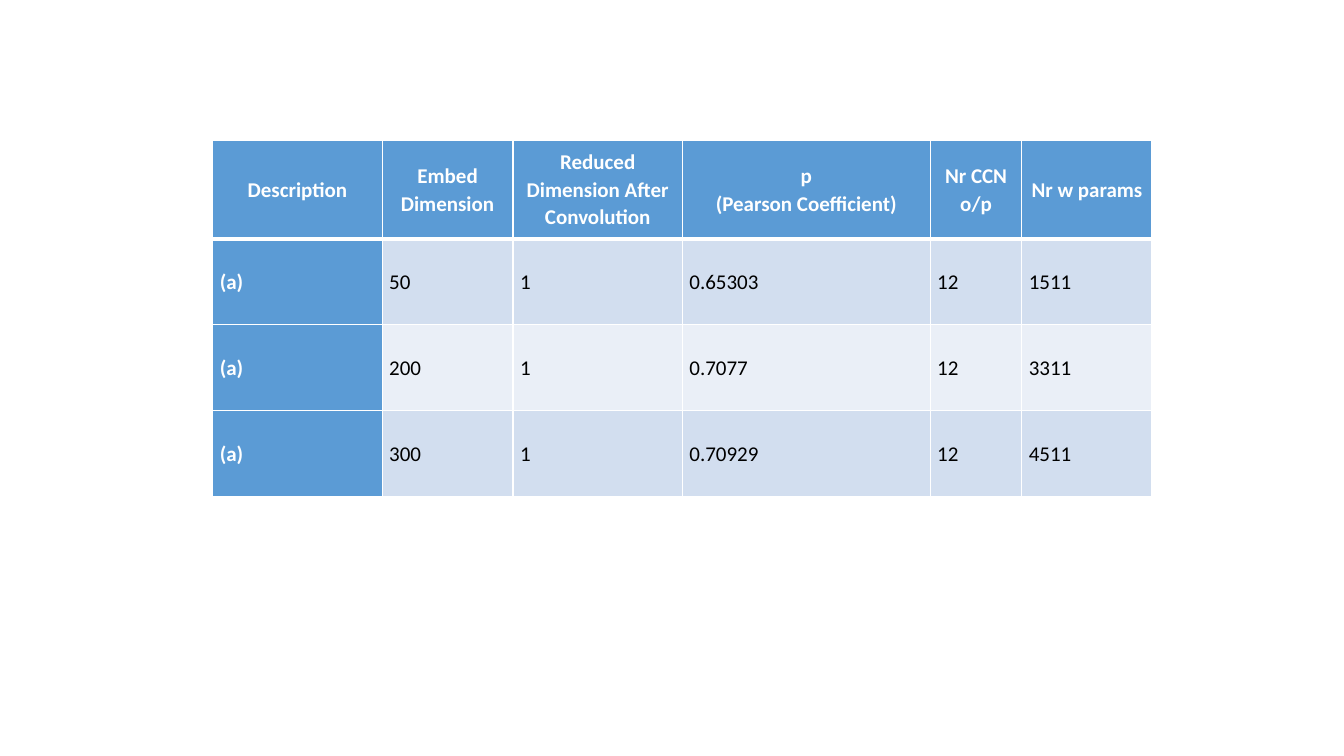
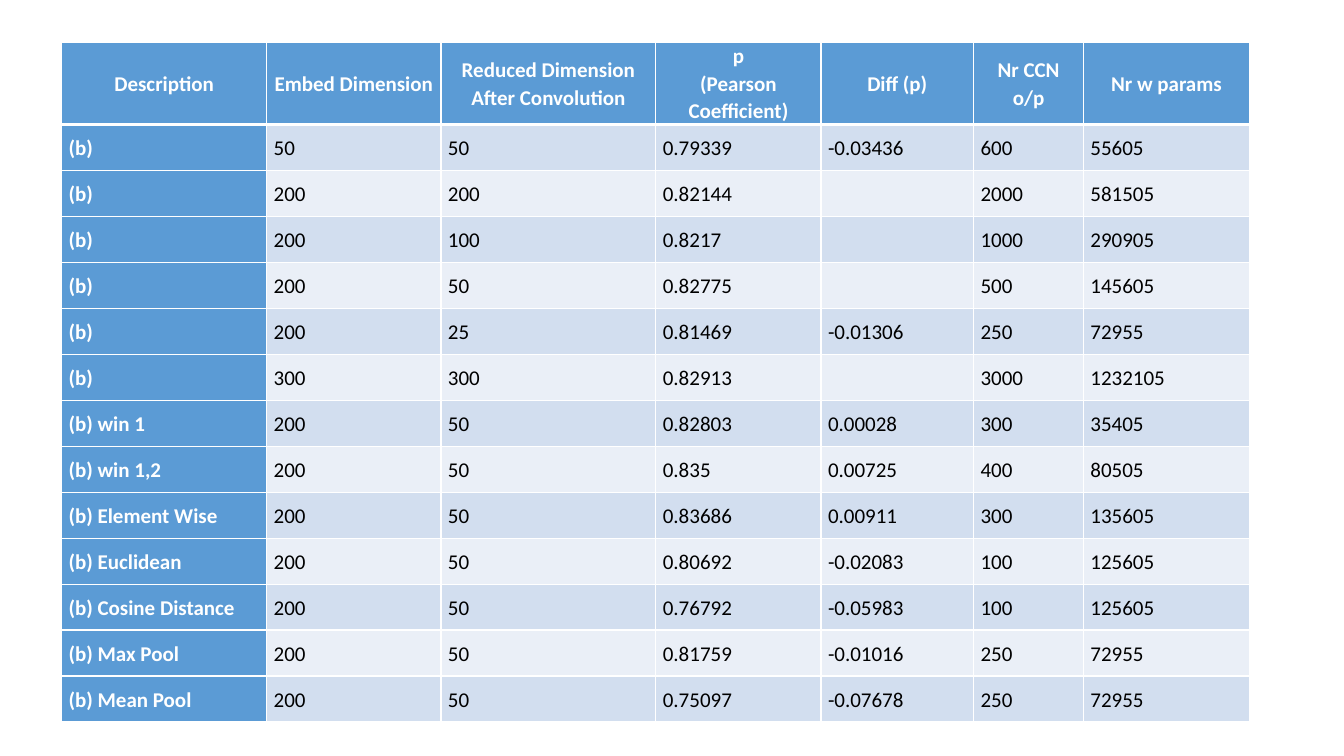
from lxml import etree
from pptx import Presentation
from pptx.dml.color import RGBColor
from pptx.enum import text
from pptx.oxml import ns
from pptx.util import Pt

BLUE, WHITE, BLACK = "5B9BD5", "FFFFFF", "000000"
BANDS = ("D2DEEF", "EAEFF7")
CELL_FORMAT = {
    "margin_left": Pt(5), "margin_right": Pt(5),
    "margin_top": Pt(0), "margin_bottom": Pt(0),
    "vertical_anchor": text.MSO_ANCHOR.MIDDLE,
}
FONT_FORMAT = {"name": "Calibri", "size": Pt(15)}
THIN, THICK = 1, 3

DESCRIPTION, EMBED = "Description", "Embed Dimension"
REDUCED = "Reduced Dimension After Convolution"
PEARSON = "p\n(Pearson Coefficient)"
OUTPUTS, PARAMS = "Nr CCN o/p", "Nr w params"

SINGLE_ROWS = [
    (DESCRIPTION, EMBED, REDUCED, PEARSON, OUTPUTS, PARAMS),
    ("(a)", "50", "1", "0.65303", "12", "1511"),
    ("(a)", "200", "1", "0.7077", "12", "3311"),
    ("(a)", "300", "1", "0.70929", "12", "4511"),
]
VARIANT_ROWS = [
    (DESCRIPTION, EMBED, REDUCED, PEARSON, "Diff (p)", OUTPUTS, PARAMS),
    ("(b)", "50", "50", "0.79339", "-0.03436", "600", "55605"),
    ("(b)", "200", "200", "0.82144", "", "2000", "581505"),
    ("(b)", "200", "100", "0.8217", "", "1000", "290905"),
    ("(b)", "200", "50", "0.82775", "", "500", "145605"),
    ("(b)", "200", "25", "0.81469", "-0.01306", "250", "72955"),
    ("(b)", "300", "300", "0.82913", "", "3000", "1232105"),
    ("(b) win 1", "200", "50", "0.82803", "0.00028", "300", "35405"),
    ("(b) win 1,2", "200", "50", "0.835", "0.00725", "400", "80505"),
    ("(b) Element Wise", "200", "50", "0.83686", "0.00911", "300", "135605"),
    ("(b) Euclidean", "200", "50", "0.80692", "-0.02083", "100", "125605"),
    ("(b) Cosine Distance", "200", "50", "0.76792", "-0.05983", "100", "125605"),
    ("(b) Max Pool", "200", "50", "0.81759", "-0.01016", "250", "72955"),
    ("(b) Mean Pool", "200", "50", "0.75097", "-0.07678", "250", "72955"),
]


def color(value):
    """Return the colour for a hex string."""
    return RGBColor.from_string(value)


def apply_format(target, values):
    """Set each attribute of the target from a dict."""
    for name, value in values.items():
        setattr(target, name, value)


def add_borders(cell, top, bottom):
    """Draw white borders around a cell."""
    properties = cell._tc.get_or_add_tcPr()
    widths = {"a:lnL": THIN, "a:lnR": THIN, "a:lnT": top, "a:lnB": bottom}
    for tag, width in widths.items():
        line = etree.SubElement(properties, ns.qn(tag), w=str(Pt(width)))
        fill = etree.SubElement(line, ns.qn("a:solidFill"))
        etree.SubElement(fill, ns.qn("a:srgbClr"), val=WHITE)


def fill_cell(cell, content, row, column):
    """Style and write one cell according to its place in the table."""
    is_heading = row == 0 or column == 0
    apply_format(cell, CELL_FORMAT)
    add_borders(cell, THICK if row == 1 else THIN, THICK if row == 0 else THIN)
    cell.fill.solid()
    cell.fill.fore_color.rgb = color(BLUE if is_heading else BANDS[(row - 1) % 2])
    if not content:
        return
    cell.text = content
    for para in cell.text_frame.paragraphs:
        para.line_spacing = 1.07
        para.alignment = text.PP_ALIGN.CENTER if row == 0 else text.PP_ALIGN.LEFT
        for span in para.runs:
            apply_format(span.font, FONT_FORMAT)
            span.font.bold = is_heading
            span.font.color.rgb = color(WHITE if is_heading else BLACK)


def add_result_page(deck, rows, origin, widths, header_height, row_height):
    """Add a page with one results table at the given origin."""
    page = deck.slides.add_slide(deck.slide_layouts[6])
    heights = [header_height] + [row_height] * (len(rows) - 1)
    box = [Pt(value) for value in (*origin, sum(widths), sum(heights))]
    table = page.shapes.add_table(len(rows), len(widths), *box).table
    table.first_col = True
    for column, width in zip(table.columns, widths):
        column.width = Pt(width)
    for row, height in zip(table.rows, heights):
        row.height = Pt(height)
    for i, contents in enumerate(rows):
        for j, content in enumerate(contents):
            fill_cell(table.cell(i, j), content, i, j)


def main():
    """Build and save the deck."""
    deck = Presentation()
    apply_format(deck, {"slide_width": Pt(960), "slide_height": Pt(540)})
    add_result_page(deck, SINGLE_ROWS, (152, 100),
                    (121, 93.5, 121, 177, 65.5, 93), 70.5, 61.5)
    add_result_page(deck, VARIANT_ROWS, (44, 30),
                    (146.5, 124.5, 153.5, 118, 109, 78.5, 118.5), 59, 32.85)
    deck.save("out.pptx")


if __name__ == "__main__":
    main()
